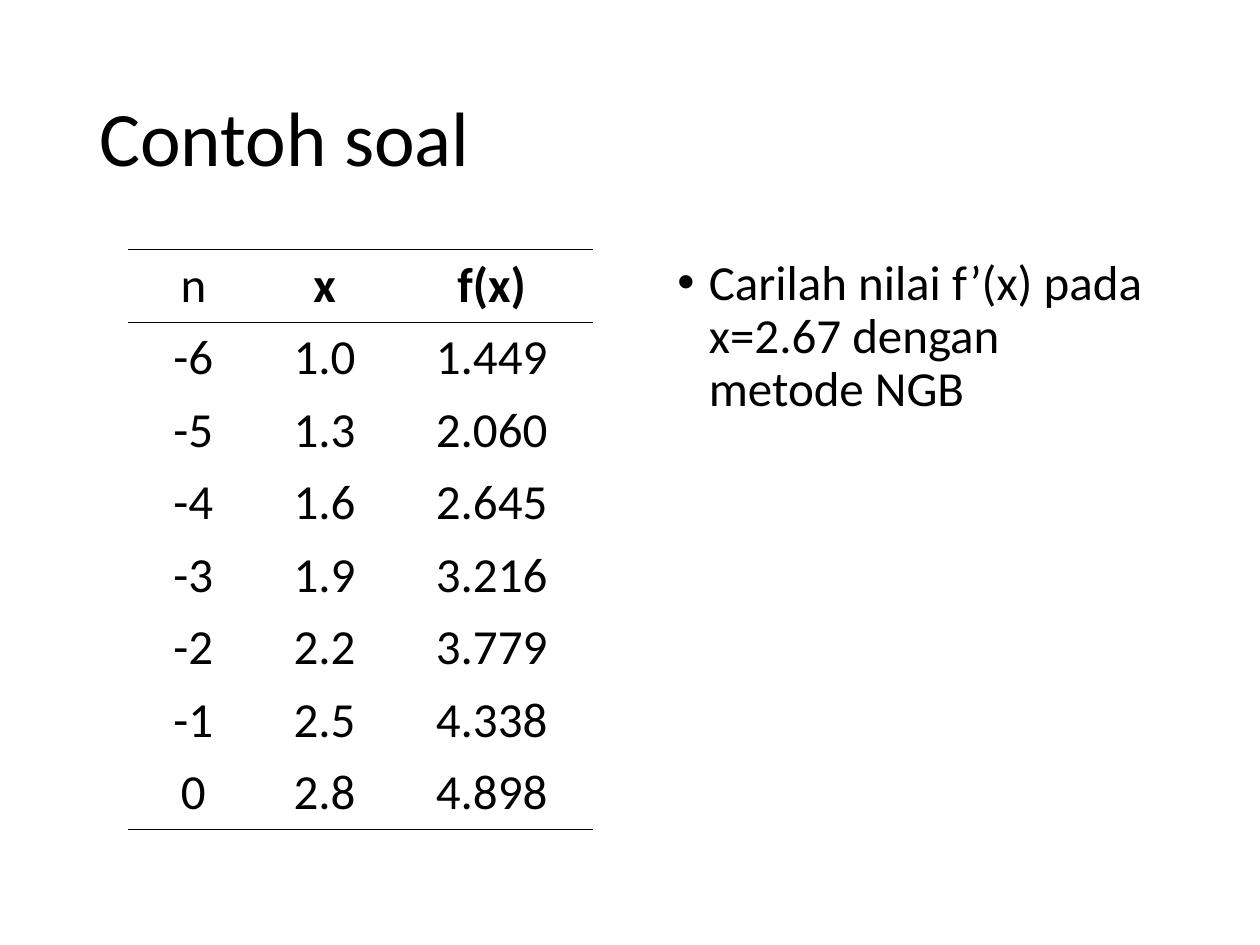
from lxml.etree import SubElement as Sub
from pptx import Presentation
from pptx.dml.color import RGBColor as Rgb
from pptx.enum.text import MSO_ANCHOR as Anchor, PP_ALIGN as Align
from pptx.oxml.ns import qn
from pptx.util import Pt

INK = "000000"
RULE = 0.45  # table line width
HEAD = ["n", "x", "f(x)"]
DATA = [
    ["-6", "1.0", "1.449"],
    ["-5", "1.3", "2.060"],
    ["-4", "1.6", "2.645"],
    ["-3", "1.9", "3.216"],
    ["-2", "2.2", "3.779"],
    ["-1", "2.5", "4.338"],
    ["0", "2.8", "4.898"],
]


def color(code):
    return Rgb.from_string(code)


def style(item, **vals):
    for name, val in vals.items():
        setattr(item, name, val)


def write(para, text, size, bold=False):
    run = para.add_run()
    run.text = text
    style(run.font, name="Calibri", size=Pt(size), bold=bold)
    run.font.color.rgb = color(INK)


def place(shape, box):
    for name, val in zip(("left", "top", "width", "height"), box):
        setattr(shape, name, Pt(val))


def border(cell, sides):
    """Rule the given sides of a cell and clear the others."""
    props = cell._tc.get_or_add_tcPr()
    for spot, side in enumerate("LRTB"):
        line = Sub(props, qn(f"a:ln{side}"), w=str(Pt(RULE)))
        if side in sides:
            fill = Sub(line, qn("a:solidFill"))
            Sub(fill, qn("a:srgbClr"), val=INK)
        else:
            Sub(line, qn("a:noFill"))
        props.insert(spot, line)


def add_title(slide, box, text):
    title = slide.shapes.title
    place(title, box)
    frame = title.text_frame
    style(frame, vertical_anchor=Anchor.MIDDLE, word_wrap=True)
    para = frame.paragraphs[0]
    style(para, alignment=Align.LEFT, line_spacing=0.9)
    write(para, text, 44)


def add_grid(slide, box, rows, widths):
    spot = [Pt(val) for val in box]
    table = slide.shapes.add_table(len(rows), len(widths), *spot).table
    style(table, first_row=False, horz_banding=False)
    for col, width in zip(table.columns, widths):
        col.width = Pt(width)
    last = len(rows) - 1
    ruled = {0: "TB", 1: "T", last: "B"}
    for r, row in enumerate(rows):
        table.rows[r].height = Pt(box[3] / len(rows))
        for c, text in enumerate(row):
            cell = table.cell(r, c)
            cell.fill.background()
            border(cell, ruled.get(r, ""))
            para = cell.text_frame.paragraphs[0]
            para.alignment = Align.CENTER
            write(para, text, 28, bold=r == 0 and c > 0)


def add_task(slide, box, text):
    frame = slide.shapes.add_textbox(*[Pt(val) for val in box]).text_frame
    frame.word_wrap = True
    para = frame.paragraphs[0]
    style(para, line_spacing=0.9, space_before=Pt(10))
    # Hanging bullet
    props = para._p.get_or_add_pPr()
    props.set("marL", str(Pt(18)))
    props.set("indent", str(Pt(-18)))
    Sub(props, qn("a:buFont"), typeface="Arial")
    Sub(props, qn("a:buChar"), char="•")
    write(para, text, 28)


def main():
    deck = Presentation()
    style(deck, slide_width=Pt(720), slide_height=Pt(540))
    slide = deck.slides.add_slide(deck.slide_layouts[5])
    add_title(slide, (49.5, 28.8, 621, 104.4), "Contoh soal")
    add_grid(slide, (73, 142.5, 266, 331.2), [HEAD, *DATA], (75, 75, 116))
    add_task(slide, (380, 144, 290, 305),
             "Carilah nilai f’(x) pada x=2.67 dengan metode NGB")
    deck.save("out.pptx")


if __name__ == "__main__":
    main()
